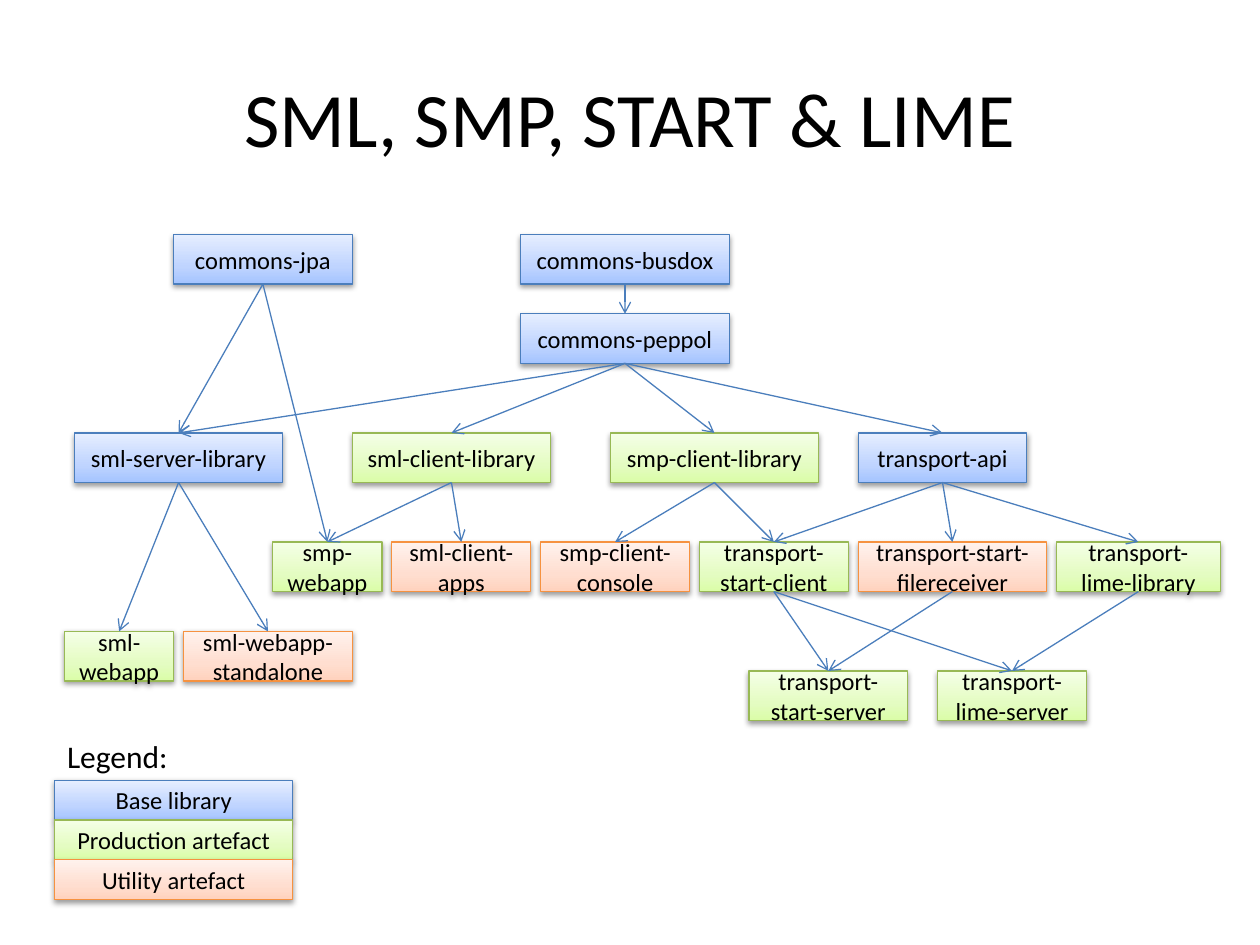
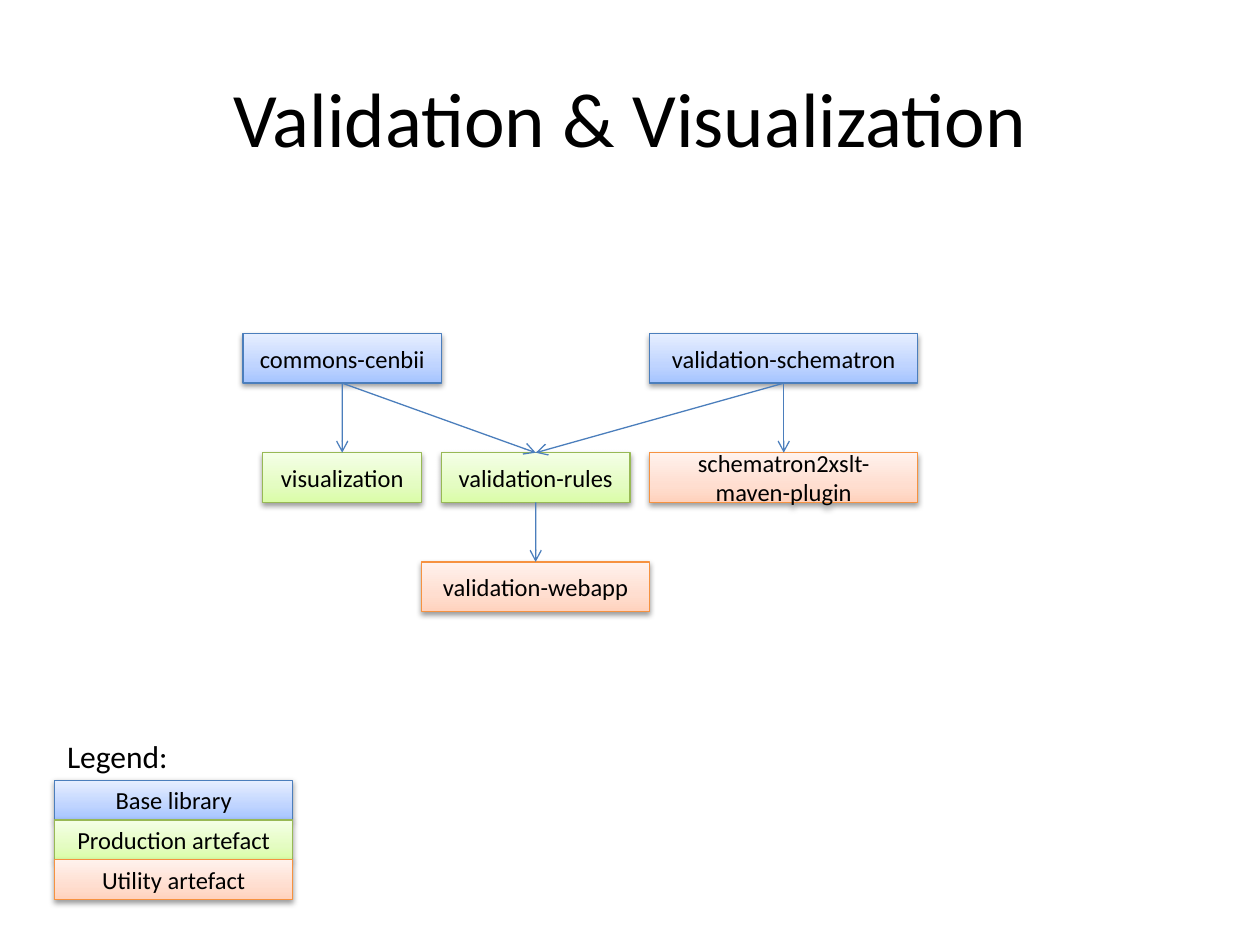
import pptx
import pptx.util
import pptx.dml.color
import pptx.enum.dml
import pptx.enum.shapes
import pptx.enum.text
import pptx.oxml
import pptx.oxml.ns
import copy
import lxml.etree

Pt = pptx.util.Pt
qn = pptx.oxml.ns.qn

FONT = "Calibri"
BLACK = "000000"
ARROW_BLUE = "4B7EBC"
BOX_HEIGHT = 28.35
BOTTOM, TOP = 2, 0
STOP_POSITIONS = (0, 0.35, 1)
STYLES = {
    "base": (ARROW_BLUE, ("A4C4FF", "BFD4FF", "E6EEFF")),
    "production": ("98B955", ("DAFDA7", "E4FCC2", "F5FFE7")),
    "utility": ("F69240", ("FFD2BD", "FFDED0", "FFF2ED")),
}
LEGEND = {
    "Base library": "base",
    "Production artefact": "production",
    "Utility artefact": "utility",
}
LEGEND_LEFT, LEGEND_TOP, LEGEND_WIDTH, LEGEND_ROW = 31.2, 445.9, 136.1, 22.68
SHADOW = (
    '<a:outerShdw %s blurRad="40000" dist="20000" dir="5400000" rotWithShape="0">'
    '<a:srgbClr val="000000"><a:alpha val="38000"/></a:srgbClr></a:outerShdw>'
    % pptx.oxml.ns.nsdecls("a")
)

TRANSPORT_ROWS = {
    134: [
        ("commons-jpa", "base", 99.2, 102.1),
        ("commons-busdox", "base", 297.6, 119.1),
    ],
    179.3: [("commons-peppol", "base", 297.6, 119.1)],
    247.4: [
        ("sml-server-library", "base", 42.5, 119.1),
        ("sml-client-library", "production", 201.3, 113.4),
        ("smp-client-library", "production", 348.7, 119.1),
        ("transport-api", "base", 490.4, 96.4),
    ],
    309.7: [
        ("smp-webapp", "production", 155.9, 62.4),
        ("sml-client-apps", "utility", 223.9, 79.4),
        ("smp-client-console", "utility", 309, 85),
        ("transport-start-client", "production", 399.7, 85),
        ("transport-start-filereceiver", "utility", 490.4, 107.7),
        ("transport-lime-library", "production", 603.8, 93.5),
    ],
    360.8: [
        ("sml-webapp", "production", 36.9, 62.4),
        ("sml-webapp-standalone", "utility", 104.9, 96.4),
    ],
    383.4: [
        ("transport-start-server", "production", 428, 90.7),
        ("transport-lime-server", "production", 535.8, 85),
    ],
}
TRANSPORT_ARROWS = {
    "commons-jpa": ["sml-server-library", "smp-webapp"],
    "commons-busdox": ["commons-peppol"],
    "commons-peppol": ["sml-server-library", "sml-client-library",
                       "smp-client-library", "transport-api"],
    "sml-server-library": ["sml-webapp", "sml-webapp-standalone"],
    "sml-client-library": ["smp-webapp", "sml-client-apps"],
    "smp-client-library": ["smp-client-console", "transport-start-client"],
    "transport-api": ["transport-start-client", "transport-start-filereceiver",
                      "transport-lime-library"],
    "transport-start-client": ["transport-start-server", "transport-lime-server"],
    "transport-start-filereceiver": ["transport-start-server"],
    "transport-lime-library": ["transport-lime-server"],
}
VALIDATION_ROWS = {
    190.6: [
        ("commons-cenbii", "base", 138.9, 113.4),
        ("validation-schematron", "base", 371.3, 153.1),
    ],
    258.7: [
        ("visualization", "production", 150.2, 90.7),
        ("validation-rules", "production", 252.3, 107.7),
        ("schematron2xslt-maven-plugin", "utility", 371.3, 153.1),
    ],
    321.1: [("validation-webapp", "utility", 240.9, 130.4)],
}
VALIDATION_ARROWS = {
    "commons-cenbii": ["visualization", "validation-rules"],
    "validation-schematron": ["validation-rules", "schematron2xslt-maven-plugin"],
    "validation-rules": ["validation-webapp"],
}


def color(value):
    return pptx.dml.color.RGBColor.from_string(value)


def write_text(frame, text, size, align):
    para = frame.paragraphs[0]
    para.alignment = align
    span = para.add_run()
    span.text = text
    span.font.name = FONT
    span.font.size = Pt(size)
    span.font.color.rgb = color(BLACK)


def write_centered(frame, text, size):
    frame.vertical_anchor = pptx.enum.text.MSO_ANCHOR.MIDDLE
    write_text(frame, text, size, pptx.enum.text.PP_ALIGN.CENTER)


def set_line(line, value):
    line.color.rgb = color(value)
    line.width = Pt(0.75)


def set_gradient(shape, values):
    shape.fill.gradient()
    shape.fill.gradient_angle = 90
    stops = shape.element.spPr.find(qn("a:gradFill")).find(qn("a:gsLst"))
    stops.insert(1, copy.deepcopy(stops[0]))
    for stop, position, value in zip(shape.fill.gradient_stops, STOP_POSITIONS, values):
        stop.position = position
        stop.color.rgb = color(value)


def add_box(page, text, style, left, top, width, height=BOX_HEIGHT):
    box = page.shapes.add_shape(
        pptx.enum.shapes.MSO_SHAPE.RECTANGLE, Pt(left), Pt(top), Pt(width), Pt(height))
    outline, shades = STYLES[style]
    set_gradient(box, shades)
    set_line(box.line, outline)
    box.shadow.inherit = False
    effects = box.element.spPr.find(qn("a:effectLst"))
    effects.append(pptx.oxml.parse_xml(SHADOW))
    box.text_frame.word_wrap = True
    write_centered(box.text_frame, text, 14)
    return box


def add_arrow(page, source, target):
    arrow = page.shapes.add_connector(
        pptx.enum.shapes.MSO_CONNECTOR.STRAIGHT, Pt(0), Pt(0), Pt(0), Pt(0))
    arrow.begin_connect(source, BOTTOM)
    arrow.end_connect(target, TOP)
    set_line(arrow.line, ARROW_BLUE)
    properties = arrow.element.spPr
    lxml.etree.SubElement(properties.find(qn("a:ln")), qn("a:tailEnd"), type="arrow")
    lxml.etree.SubElement(properties, qn("a:effectLst"))


def add_legend(page):
    for index, (text, style) in enumerate(LEGEND.items()):
        add_box(page, text, style, LEGEND_LEFT, LEGEND_TOP + index * LEGEND_ROW,
                LEGEND_WIDTH, LEGEND_ROW)
    label = page.shapes.add_textbox(Pt(LEGEND_LEFT), Pt(417.6), Pt(72.7), Pt(29))
    label.text_frame.word_wrap = False
    label.text_frame.auto_size = pptx.enum.text.MSO_AUTO_SIZE.SHAPE_TO_FIT_TEXT
    write_text(label.text_frame, "Legend:", 18, pptx.enum.text.PP_ALIGN.LEFT)


def add_title(page, text):
    title = page.shapes.title
    title.left, title.top, title.width, title.height = Pt(36), Pt(21.6), Pt(648), Pt(90)
    write_centered(title.text_frame, text, 44)


def add_dependency_page(deck, title, rows, arrows):
    page = deck.slides.add_slide(deck.slide_layouts.get_by_name("Title Only"))
    add_title(page, title)
    boxes = {}
    for top, row in rows.items():
        for name, style, left, width in row:
            boxes[name] = add_box(page, name, style, left, top, width)
    for source, targets in arrows.items():
        for target in targets:
            add_arrow(page, boxes[source], boxes[target])
    add_legend(page)


def main():
    deck = pptx.Presentation()
    deck.slide_width, deck.slide_height = Pt(720), Pt(540)
    add_dependency_page(deck, "SML, SMP, START & LIME", TRANSPORT_ROWS, TRANSPORT_ARROWS)
    add_dependency_page(deck, "Validation & Visualization", VALIDATION_ROWS, VALIDATION_ARROWS)
    deck.save("out.pptx")


if __name__ == "__main__":
    main()
